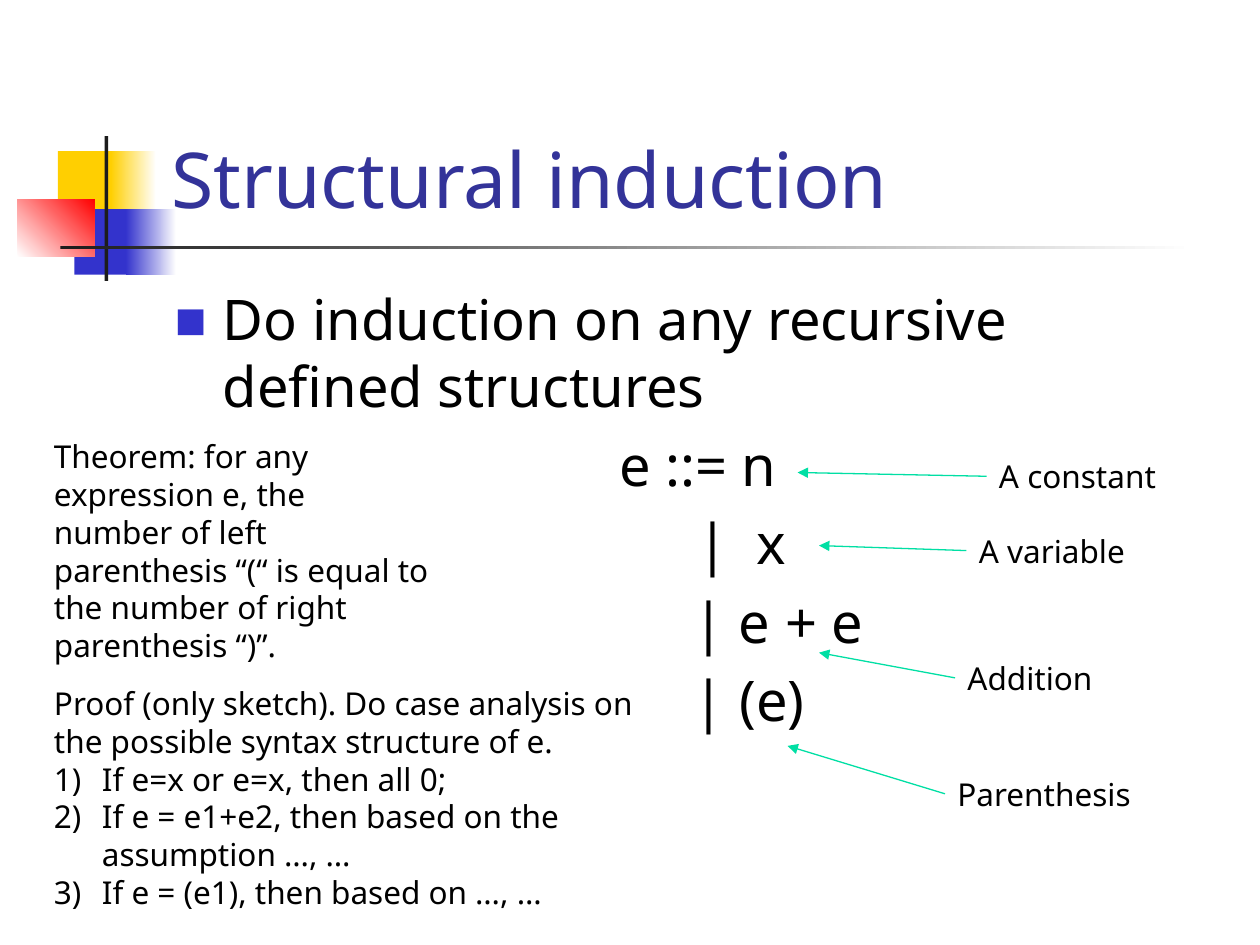
from lxml.etree import SubElement
from pptx import Presentation
from pptx.dml.color import RGBColor
from pptx.enum.shapes import MSO_CONNECTOR, MSO_SHAPE
from pptx.enum.text import MSO_ANCHOR, MSO_AUTO_SIZE, PP_ALIGN
from pptx.oxml.ns import qn
from pptx.util import Inches, Pt

FONT = "Noto Sans"
HANGING = 0.38
SPACE_WIDTH = 0.116


def color(hex_code):
    return RGBColor.from_string(hex_code)


def write(frame, text, size=18, ink="000000", align=PP_ALIGN.LEFT, before=0,
          margin=0, hanging=0, marker=None, first=False):
    paragraph = frame.paragraphs[0] if first else frame.add_paragraph()
    paragraph.alignment = align
    paragraph.space_before = Pt(before)
    run = paragraph.add_run()
    run.text = text
    run.font.name = FONT
    run.font.size = Pt(size)
    run.font.color.rgb = color(ink)
    properties = paragraph._p.get_or_add_pPr()
    properties.set("marL", str(Inches(margin)))
    properties.set("indent", str(Inches(-hanging)))
    if marker == "square":
        bullet_color = SubElement(properties, qn("a:buClr"))
        SubElement(bullet_color, qn("a:srgbClr"), val="3333CC")
        SubElement(properties, qn("a:buSzPct"), val="60000")
        SubElement(properties, qn("a:buFont"), typeface=FONT)
        SubElement(properties, qn("a:buChar"), char="■")
    elif marker == "number":
        SubElement(properties, qn("a:buAutoNum"), type="arabicParenR")


def add_frame(slide, left, top, width, height):
    box = slide.shapes.add_textbox(Inches(left), Inches(top), Inches(width), Inches(height))
    box.text_frame.word_wrap = True
    return box.text_frame


def add_block(slide, box, start, end=None, angle=0):
    block = slide.shapes.add_shape(MSO_SHAPE.RECTANGLE, *map(Inches, box))
    block.shadow.inherit = False
    block.line.fill.background()
    if end is None:
        block.fill.solid()
        block.fill.fore_color.rgb = color(start)
        return
    block.fill.gradient()
    block.fill.gradient_angle = angle
    for stop, shade in zip(block.fill.gradient_stops, (start, end)):
        stop.color.rgb = color(shade)


def add_ornament(slide, left, top):
    blocks = [
        ((0.32, 0.12, 0.48, 0.52), "FFCF01"),
        ((0.74, 0.12, 0.36, 0.52), "FFCF01", "FFFFFF"),
        ((0.45, 0.58, 0.46, 0.52), "3333CC"),
        ((0.86, 0.58, 0.4, 0.52), "3333CC", "FFFFFF"),
        ((0, 0.5, 0.61, 0.46), "FFFFFF", "FF0000", 45),
        ((0.69, 0, 0.03, 1.15), "1C1C1C"),
        ((0.34, 0.87, 9, 0.03), "1C1C1C", "FFFFFF"),
    ]
    for (x, y, width, height), *fill in blocks:
        add_block(slide, (left + x, top + y, width, height), *fill)


def add_title(slide, left, top, width, height):
    title = slide.shapes.title
    title.left, title.top = Inches(left), Inches(top)
    title.width, title.height = Inches(width), Inches(height)
    frame = title.text_frame
    frame.auto_size = MSO_AUTO_SIZE.NONE
    frame.vertical_anchor = MSO_ANCHOR.BOTTOM
    write(frame, "Structural induction", size=44, ink="333399", first=True)
    slide.shapes._spTree.append(title._element)


def add_grammar(slide, left, top, width, height):
    frame = add_frame(slide, left, top, width, height)
    write(frame, "Do induction on any recursive defined structures", size=32, before=6.4,
          margin=HANGING, hanging=HANGING, marker="square", first=True)
    for rule, shift in [("e ::= n", 0), ("|  x", 6), ("| e + e", 11), ("| (e)", 7)]:
        write(frame, rule, size=32, before=6.4, align=PP_ALIGN.CENTER,
              margin=shift * SPACE_WIDTH)


def add_callout(slide, label, left, top, width, tip):
    write(add_frame(slide, left, top, width, 0.4), label, first=True)
    arrow = slide.shapes.add_connector(
        MSO_CONNECTOR.STRAIGHT, Inches(left), Inches(top + 0.2), *map(Inches, tip))
    arrow.line.color.rgb = color("00DFA4")
    arrow.line.width = Pt(0.75)
    SubElement(arrow.line._get_or_add_ln(), qn("a:tailEnd"), type="triangle")
    SubElement(arrow._element.spPr, qn("a:effectLst"))


def add_theorem(slide, left, top, width, height):
    write(add_frame(slide, left, top, width, height),
          "Theorem: for any expression e, the number of left parenthesis “(“ is equal "
          "to the number of right parenthesis “)”.", first=True)


def add_proof(slide, left, top, width, height):
    frame = add_frame(slide, left, top, width, height)
    write(frame, "Proof (only sketch). Do case analysis on the possible syntax "
          "structure of e.", first=True)
    for case in ["If e=x or e=x, then all 0;",
                 "If e = e1+e2, then based on the assumption …, …",
                 "If e = (e1), then based on …, …"]:
        write(frame, case, margin=HANGING, hanging=HANGING, marker="number")


def build():
    deck = Presentation()
    deck.slide_width, deck.slide_height = Inches(10), Inches(7.5)
    slide = deck.slides.add_slide(deck.slide_layouts[5])
    add_ornament(slide, 0.14, 1.08)
    add_title(slide, 1.26, 0.23, 8.52, 1.6)
    add_grammar(slide, 1.29, 2.21, 8.5, 4.5)
    for callout in [("A constant", 7.83, 3.58, 1.95, (6.33, 3.75)),
                    ("A variable", 7.67, 4.17, 2.28, (6.5, 4.33)),
                    ("Addition", 7.58, 5.18, 2.28, (6.5, 5.18)),
                    ("Parenthesis", 7.5, 6.1, 2.28, (6.25, 5.92))]:
        add_callout(slide, *callout)
    add_theorem(slide, 0.33, 3.42, 3.17, 1.62)
    add_proof(slide, 0.33, 5.38, 4.92, 1.92)
    deck.save("out.pptx")


build()
